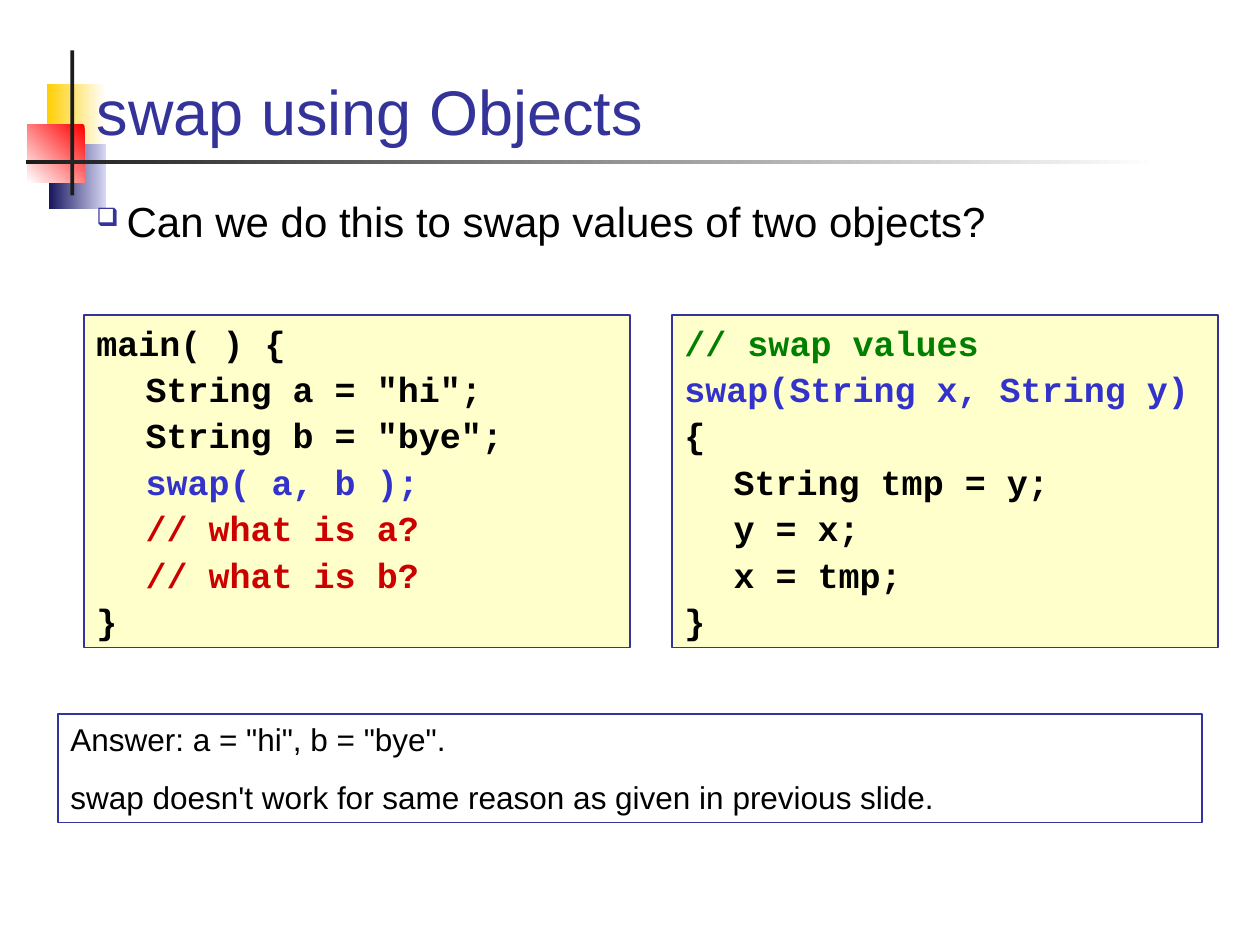
import pptx
import pptx.util
import pptx.dml.color
import pptx.enum.shapes
import pptx.enum.text
import pptx.oxml.ns
import lxml.etree

RGB = pptx.dml.color.RGBColor
Pt = pptx.util.Pt
qn = pptx.oxml.ns.qn

WHITE = RGB(0xFF, 0xFF, 0xFF)
BLACK = RGB(0, 0, 0)
CHARCOAL = RGB(0x1C, 0x1C, 0x1C)
INDIGO = RGB(0x33, 0x33, 0x99)
BLUE = RGB(0x33, 0x33, 0xCC)
NAVY = RGB(0x17, 0x17, 0x5E)
LAVENDER = RGB(0xD6, 0xD6, 0xF5)
YELLOW = RGB(0xFF, 0xCF, 0x01)
CREAM = RGB(0xFF, 0xFF, 0xCC)
RED = RGB(0xFF, 0, 0)
CRIMSON = RGB(0xCC, 0, 0)
GREEN = RGB(0, 0x80, 0)

COLUMNS = 30
TAB = 0.39


def grid(*cells):
    return [pptx.util.Inches(10 / COLUMNS * c) for c in cells]


def add_rect(s, box, fill=None, line=None):
    sp = s.shapes.add_shape(pptx.enum.shapes.MSO_SHAPE.RECTANGLE, *grid(*box))
    sp.shadow.inherit = False
    if fill is None:
        sp.fill.background()
    else:
        sp.fill.solid()
        sp.fill.fore_color.rgb = fill
    if line is None:
        sp.line.fill.background()
    else:
        sp.line.color.rgb = line
        sp.line.width = Pt(0.75)
    return sp


def add_gradient(s, box, start, end, angle=180):
    sp = add_rect(s, box)
    sp.fill.gradient()
    sp.fill.gradient_angle = angle
    for stop, color in zip(sp.fill.gradient_stops, (start, end)):
        stop.color.rgb = color


def add_tab(p):
    tabs = lxml.etree.SubElement(p._p.get_or_add_pPr(), qn("a:tabLst"))
    lxml.etree.SubElement(tabs, qn("a:tab"), pos=str(pptx.util.Inches(TAB)), algn="l")


def add_bullet(p, char, color, percent, indent):
    pPr = p._p.get_or_add_pPr()
    pPr.set("marL", str(pptx.util.Inches(indent)))
    pPr.set("indent", str(-pptx.util.Inches(indent)))
    clr = lxml.etree.SubElement(pPr, qn("a:buClr"))
    lxml.etree.SubElement(clr, qn("a:srgbClr"), val=str(color))
    lxml.etree.SubElement(pPr, qn("a:buSzPct"), val=str(percent * 1000))
    lxml.etree.SubElement(pPr, qn("a:buChar"), char=char)


def write_lines(sp, lines, font, size, gap=0, bold=False, anchor="TOP"):
    tf = sp.text_frame
    tf.word_wrap = True
    tf.auto_size = pptx.enum.text.MSO_AUTO_SIZE.NONE
    tf.vertical_anchor = pptx.enum.text.MSO_ANCHOR[anchor]
    tf.text = "\n".join(text for text, _ in lines)
    for i, (p, (text, color)) in enumerate(zip(tf.paragraphs, lines)):
        p.alignment = pptx.enum.text.PP_ALIGN.LEFT
        if i:
            p.space_before = Pt(gap)
        if text.startswith("\t"):
            add_tab(p)
        for r in p.runs:
            r.font.name = font
            r.font.size = Pt(size)
            r.font.bold = bold
            r.font.color.rgb = color
    return tf


def add_motif(s, box):
    x, y, w, h = box
    add_gradient(s, (x + 0.48, y + 0.81, 1.41, 1.56), WHITE, YELLOW)
    add_gradient(s, (x + 0.54, y + 2.22, 1.35, 1.56), LAVENDER, NAVY)
    add_gradient(s, (x + 0.03, y + 1.77, 1.35, 1.38), RED, WHITE, 225)
    add_rect(s, (x + 1.05, y, 0.09, h), CHARCOAL)
    add_gradient(s, (x, y + 2.61, w, 0.09), WHITE, CHARCOAL)


def add_title(s, box, text):
    title = s.shapes.title
    s.shapes._spTree.append(title._element)
    title.left, title.top, title.width, title.height = grid(*box)
    write_lines(title, [(text, INDIGO)], "Arial", 36, anchor="BOTTOM")


def add_question(s, box, text):
    sp = s.shapes.add_textbox(*grid(*box))
    tf = write_lines(sp, [(text, BLACK)], "Arial", 24)
    add_bullet(tf.paragraphs[0], "❑", INDIGO, 60, 0.24)


def add_code(s, box, lines):
    write_lines(add_rect(s, box, CREAM, INDIGO), lines, "Courier New", 20, 2.5, True)


def add_answer(s, box, texts):
    lines = [(text, BLACK) for text in texts]
    write_lines(add_rect(s, box, line=INDIGO), lines, "Arial", 18, 11.2)


def main():
    prs = pptx.Presentation()
    prs.slide_width, prs.slide_height = grid(COLUMNS, COLUMNS * 0.75)
    s = prs.slides.add_slide(prs.slide_layouts[5])

    add_motif(s, (0.63, 1.2, 26.97, 3.45))
    add_title(s, (2, 0.82, 26, 2.85), "swap using Objects")
    add_question(s, (2, 4.5, 26, 2), "Can we do this to swap values of two objects?")

    caller = [
        ("main( ) {", BLACK),
        ('\tString a = "hi";', BLACK),
        ('\tString b = "bye";', BLACK),
        ("\tswap( a, b );", BLUE),
        ("\t// what is a?", CRIMSON),
        ("\t// what is b?", CRIMSON),
        ("}", BLACK),
    ]
    swap = [
        ("// swap values", GREEN),
        ("swap(String x, String y)", BLUE),
        ("{", BLACK),
        ("\tString tmp = y;", BLACK),
        ("\ty = x;", BLACK),
        ("\tx = tmp;", BLACK),
        ("}", BLACK),
    ]
    for i, lines in enumerate((caller, swap)):
        add_code(s, (2 + 14 * i, 7.5, 13, 7.92), lines)

    add_answer(s, (1.38, 17, 27.24, 2.58), [
        'Answer: a = "hi", b = "bye".',
        "swap doesn't work for same reason as given in previous slide.",
    ])
    prs.save("out.pptx")


if __name__ == "__main__":
    main()
